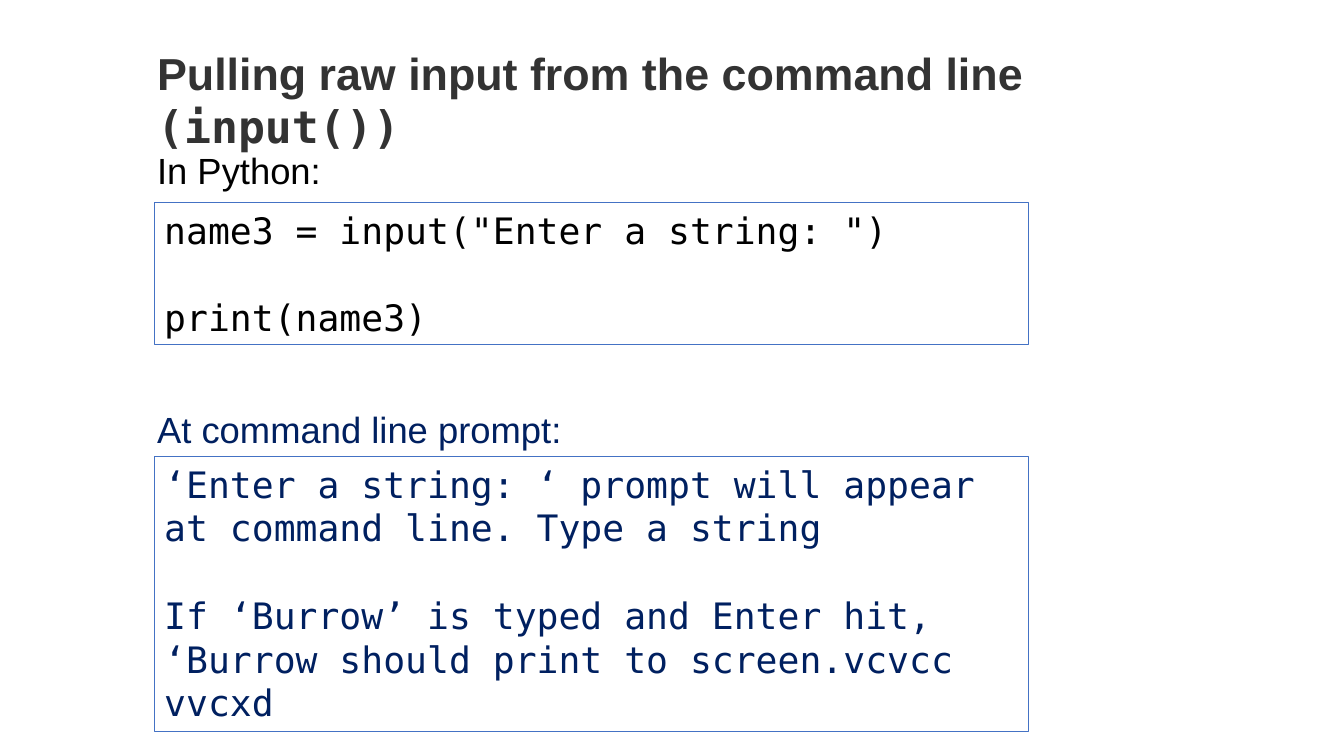
"""Build a slide about reading raw input from the command line in Python."""
from dataclasses import dataclass

from pptx import Presentation
from pptx.dml.color import RGBColor
from pptx.enum.shapes import MSO_SHAPE
from pptx.enum.text import MSO_ANCHOR, PP_ALIGN
from pptx.util import Cm, Pt

RECTANGLE = MSO_SHAPE.RECTANGLE
TOP = MSO_ANCHOR.TOP
LEFT = PP_ALIGN.LEFT

COLORS = {"title": "333333", "code": "000000", "prompt": "002060", "border": "4472C4"}
SANS = "Arial"
MONO = "DejaVu Sans Mono"
BODY_SIZE = 26
BLANK_LINE = 31.4
LABEL_LEFT = 3.71
PANEL_LEFT = 3.89
PANEL_WIDTH = 22.02


@dataclass
class Section:
    label: str
    label_top: float
    label_width: float
    panel_top: float
    panel_height: float
    lines: list[tuple[str, float]]
    color: str


SECTIONS = [
    Section("In Python:", 3.61, 4.65, 5.11, 3.58,
            [('name3 = input("Enter a string: ")', 0),
             ("print(name3)", BLANK_LINE)], "code"),
    Section("At command line prompt:", 10.13, 11.02, 11.51, 6.93,
            [("‘Enter a string: ‘ prompt will appear at command line. Type a string", 0),
             ("If ‘Burrow’ is typed and Enter hit,", BLANK_LINE),
             ("‘Burrow should print to screen.vcvcc vvcxd", 0)], "prompt"),
]


def add_span(para, text: str, *, font: str, color: str,
             size: float = BODY_SIZE, bold: bool = False) -> None:
    """Append formatted text to a paragraph."""
    span = para.add_run()
    span.text = text
    span.font.name = font
    span.font.size = Pt(size)
    span.font.bold = bold
    span.font.color.rgb = RGBColor.from_string(COLORS[color])


def add_text_box(page, top: float, width: float, height: float, *, wrap: bool):
    """Add a text box on the label margin and return its first paragraph."""
    box = page.shapes.add_textbox(Cm(LABEL_LEFT), Cm(top), Cm(width), Cm(height))
    box.text_frame.word_wrap = wrap
    return box.text_frame.paragraphs[0]


def add_panel(page, section: Section) -> None:
    """Draw the outlined panel of a section with its lines."""
    panel = page.shapes.add_shape(RECTANGLE, Cm(PANEL_LEFT), Cm(section.panel_top),
                                  Cm(PANEL_WIDTH), Cm(section.panel_height))
    panel.shadow.inherit = False
    panel.fill.background()
    panel.line.color.rgb = RGBColor.from_string(COLORS["border"])
    panel.line.width = Pt(0.75)
    frame = panel.text_frame
    frame.word_wrap = True
    frame.vertical_anchor = TOP
    for index, (text, space) in enumerate(section.lines):
        para = frame.add_paragraph() if index else frame.paragraphs[0]
        para.alignment = LEFT
        para.space_before = Pt(space)
        add_span(para, text, font=MONO, color=section.color)


def build_deck() -> None:
    """Create and save the deck."""
    deck = Presentation()
    deck.slide_width, deck.slide_height = Cm(33.87), Cm(19.05)
    page = deck.slides.add_slide(deck.slide_layouts[6])
    for section in SECTIONS:
        add_panel(page, section)
    title = add_text_box(page, 1.02, 27.53, 1.63, wrap=True)
    for text, font in [("Pulling raw input from the command line ", SANS),
                       ("(input())", MONO)]:
        add_span(title, text, font=font, color="title", size=32, bold=True)
    for section in SECTIONS:
        label = add_text_box(page, section.label_top, section.label_width, 1.37, wrap=False)
        add_span(label, section.label, font=SANS, color=section.color)
    deck.save("out.pptx")


build_deck()
